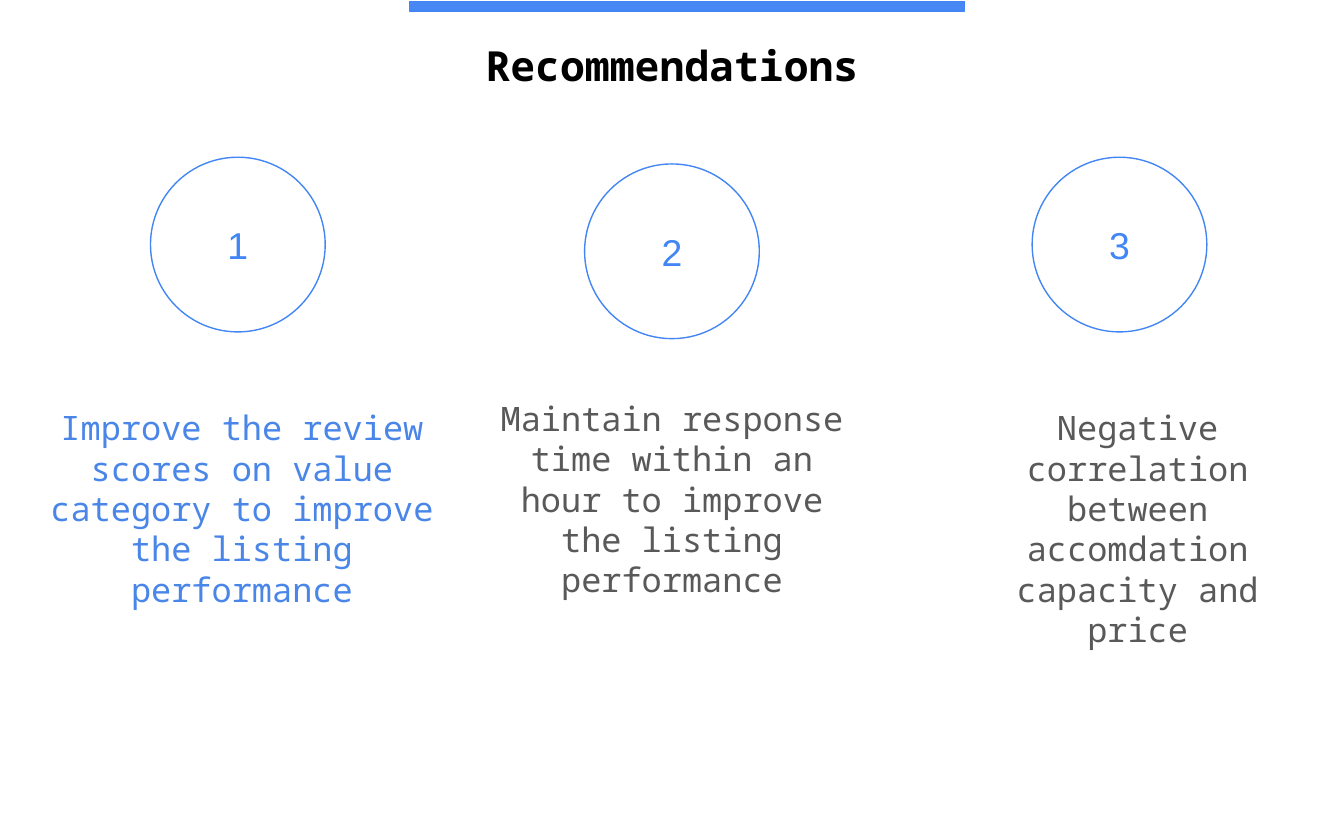
from dataclasses import dataclass

from pptx import Presentation
from pptx.dml.color import RGBColor
from pptx.enum.shapes import MSO_SHAPE
from pptx.enum.text import MSO_ANCHOR, MSO_AUTO_SIZE, PP_ALIGN
from pptx.oxml.ns import qn
from pptx.oxml.xmlchemy import OxmlElement
from pptx.shapes.autoshape import Shape
from pptx.slide import Slide
from pptx.util import Emu, Pt

SCALE = 9144  # EMU per px, 100 px to the inch
PAD = 10
DISC = 130
MONO = "Noto Sans Mono"
COLORS = {
    "white": "FFFFFF",
    "black": "000000",
    "blue": "4285F4",
    "sky": "4A86E8",
    "gray": "595959",
}


@dataclass(frozen=True)
class Box:
    left: int
    top: int
    width: int
    height: int

    def emu(self) -> list[Emu]:
        return [px(n) for n in (self.left, self.top, self.width, self.height)]


@dataclass(frozen=True)
class Advice:
    num: int
    left: int
    top: int
    box: Box
    text: str
    color: str


ITEMS = [
    Advice(1, 112, 117, Box(26, 293, 308, 175),
           "Improve the review scores on value category to improve "
           "the listing performance", "sky"),
    Advice(2, 435, 122, Box(362, 286, 276, 172),
           "Maintain response time within an hour to improve "
           "the listing performance", "gray"),
    Advice(3, 768, 117, Box(703, 293, 287, 199),
           "Negative correlation between accomdation capacity and price",
           "gray"),
]


def px(n: int) -> Emu:
    return Emu(n * SCALE)


def rgb(name: str) -> RGBColor:
    return RGBColor.from_string(COLORS[name])


def write(shape: Shape, text: str, *, size: float = 18, font: str = MONO,
          color: str = "gray", bold: bool = False,
          anchor: MSO_ANCHOR = MSO_ANCHOR.TOP) -> None:
    frame = shape.text_frame
    frame.word_wrap = True
    frame.auto_size = MSO_AUTO_SIZE.NONE
    frame.vertical_anchor = anchor
    frame.margin_left = frame.margin_right = px(PAD)
    frame.margin_top = frame.margin_bottom = px(PAD)
    para = frame.paragraphs[0]
    para.alignment = PP_ALIGN.CENTER
    run = para.add_run()
    run.text = text
    run.font.size = Pt(size)
    run.font.name = font
    run.font.bold = bold
    run.font.color.rgb = rgb(color)


def draw_shape(slide: Slide, kind: MSO_SHAPE, box: Box, fill: str) -> Shape:
    shape = slide.shapes.add_shape(kind, *box.emu())
    shape.shadow.inherit = False
    shape.fill.solid()
    shape.fill.fore_color.rgb = rgb(fill)
    shape.line.color.rgb = rgb("blue")
    shape.line.width = Pt(0.75)
    return shape


def draw_title(slide: Slide) -> None:
    title = slide.shapes.title
    title.left, title.top, title.width, title.height = Box(34, 20, 932, 70).emu()
    write(title, "Recommendations", size=22.2, color="black", bold=True)


def draw_bar(slide: Slide) -> None:
    bar = draw_shape(slide, MSO_SHAPE.MATH_MINUS, Box(230, -11, 562, 31), "blue")
    bar.adjustments[0] = 0.235
    bar.rotation = 180
    alpha = OxmlElement("a:alpha")
    alpha.set("val", "97000")
    fill = bar.element.spPr.find(qn("a:solidFill"))
    fill.find(qn("a:srgbClr")).append(alpha)


def draw_advice(slide: Slide, item: Advice) -> None:
    disc = draw_shape(slide, MSO_SHAPE.OVAL,
                      Box(item.left, item.top, DISC, DISC), "white")
    write(disc, str(item.num), size=20, font="Arial", color="blue",
          anchor=MSO_ANCHOR.MIDDLE)
    write(slide.shapes.add_textbox(*item.box.emu()), item.text,
          color=item.color)


def main() -> None:
    deck = Presentation()
    deck.slide_width, deck.slide_height = px(1000), px(625)
    slide = deck.slides.add_slide(deck.slide_layouts.get_by_name("Title Only"))
    slide.background.fill.solid()
    slide.background.fill.fore_color.rgb = rgb("white")

    # Heading and top bar
    draw_title(slide)
    draw_bar(slide)

    # Numbered advice
    for item in ITEMS:
        draw_advice(slide, item)

    deck.save("out.pptx")


if __name__ == "__main__":
    main()
